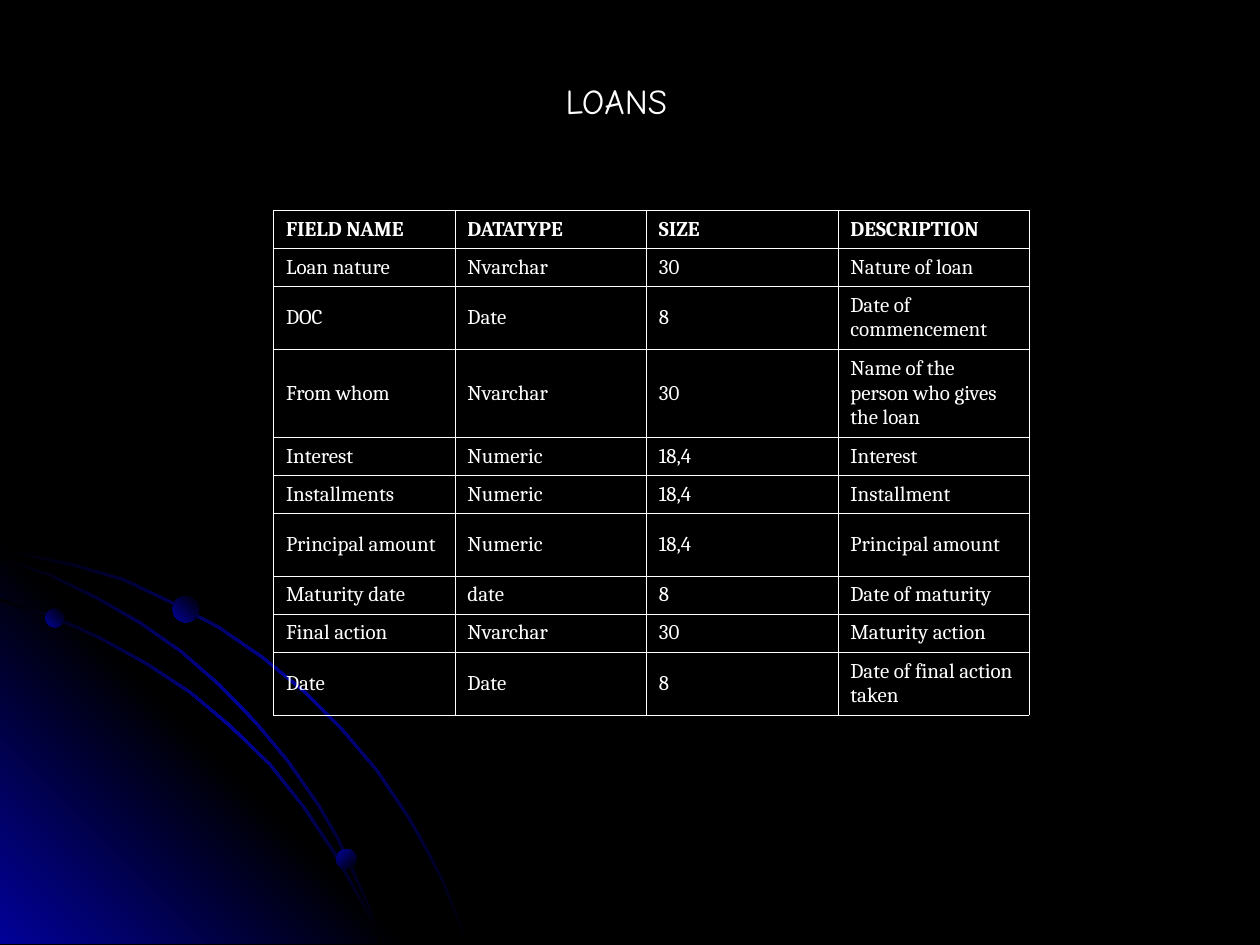
import dataclasses
import math

import lxml.etree
import pptx
import pptx.dml.color
import pptx.enum.shapes
import pptx.enum.text
import pptx.oxml
import pptx.oxml.ns
import pptx.util

MID = pptx.enum.text.MSO_ANCHOR.MIDDLE


@dataclasses.dataclass
class Theme:
    back: str = "000000"
    ink: str = "FFFFFF"
    glow: str = "010199"
    head: str = "Comic Neue"
    body: str = "Cambria"
    big: float = 20
    small: float = 12
    rule: float = 0.11
    cols: float = 10
    rows: float = 7.5


def apply(item, form):
    for name, value in form.items():
        setattr(item, name, value)


def rgb(code):
    return pptx.dml.color.RGBColor.from_string(code)


class Page:
    """Places elements on a grid of one-inch columns and rows."""

    def __init__(self, theme):
        self.theme = theme
        self.deck = pptx.Presentation()
        apply(self.deck, {"slide_width": self.span(theme.cols),
                          "slide_height": self.span(theme.rows)})
        self.slide = self.deck.slides.add_slide(self.deck.slide_layouts[6])
        self.shapes = self.slide.shapes
        fill = self.slide.background.fill
        fill.solid()
        fill.fore_color.rgb = rgb(theme.back)

    def span(self, cells):
        return pptx.util.Inches(cells)

    def box(self, *cells):
        return [self.span(cell) for cell in cells]

    def fade(self, shape, tones, angle):
        """Fill a shape with evenly spaced tones, angle clockwise."""
        shape.shadow.inherit = False
        shape.line.fill.background()
        shape.fill.gradient()
        grad = shape._element.spPr.find(pptx.oxml.ns.qn("a:gradFill"))
        for child in list(grad):
            grad.remove(child)
        stops = lxml.etree.SubElement(grad, pptx.oxml.ns.qn("a:gsLst"))
        for i, tone in enumerate(tones):
            stop = lxml.etree.SubElement(stops, pptx.oxml.ns.qn("a:gs"),
                                         pos=str(100000 * i // (len(tones) - 1)))
            lxml.etree.SubElement(stop, pptx.oxml.ns.qn("a:srgbClr"), val=tone)
        lxml.etree.SubElement(grad, pptx.oxml.ns.qn("a:lin"),
                              ang=str(angle * 60000), scaled="0")

    def shape(self, dots, tones, angle):
        first, *rest = [self.box(*dot) for dot in dots]
        pen = self.shapes.build_freeform(*first)
        pen.add_line_segments(rest, close=True)
        self.fade(pen.convert_to_shape(), tones, angle)

    def arc(self, edge, width=0.02):
        """Draw a thin band whose inner edge turns from below to the left."""
        turn = math.pi / 2 / (len(edge) - 1)
        inner = [(max(0, x - width * math.sin(i * turn)),
                  y + width * math.cos(i * turn))
                 for i, (x, y) in enumerate(edge)]
        theme = self.theme
        self.shape(edge + inner[::-1], (theme.back, theme.glow, theme.back), 225)

    def ball(self, left, top, size, angle):
        oval = self.shapes.add_shape(pptx.enum.shapes.MSO_SHAPE.OVAL,
                                     *self.box(left, top, size, size))
        self.fade(oval, (self.theme.back, self.theme.glow), angle)

    def label(self, frame, text, **form):
        run = frame.paragraphs[0].add_run()
        run.text = text
        apply(run.font, form)
        run.font.color.rgb = rgb(self.theme.ink)

    def title(self, text, *place):
        frame = self.shapes.add_textbox(*self.box(*place)).text_frame
        apply(frame, {"word_wrap": False, "vertical_anchor": MID,
                      "auto_size": pptx.enum.text.MSO_AUTO_SIZE.SHAPE_TO_FIT_TEXT})
        self.label(frame, text, name=self.theme.head,
                   size=pptx.util.Pt(self.theme.big))

    def frame(self, cell):
        """Outline a cell on all four sides."""
        props = cell._tc.get_or_add_tcPr()
        for i, side in enumerate("LRTB"):
            props.insert(i, pptx.oxml.parse_xml(
                f'<a:ln{side} {pptx.oxml.ns.nsdecls("a")} '
                f'w="{int(pptx.util.Pt(self.theme.rule))}"><a:solidFill>'
                f'<a:srgbClr val="{self.theme.ink}"/></a:solidFill></a:ln{side}>'))

    def table(self, left, top, widths, lines, data):
        tall = [0.1 + 0.2 * count for count in lines]
        grid = self.shapes.add_table(
            len(tall), len(widths),
            *self.box(left, top, sum(widths), sum(tall))).table
        apply(grid, {"first_row": False, "horz_banding": False})
        for col, width in zip(grid.columns, widths):
            col.width = self.span(width)
        for r, texts in enumerate(data):
            grid.rows[r].height = self.span(tall[r])
            for c, text in enumerate(texts):
                cell = grid.cell(r, c)
                cell.fill.background()
                cell.vertical_anchor = MID
                self.label(cell.text_frame, text, name=self.theme.body,
                           size=pptx.util.Pt(self.theme.small), bold=r == 0)
                self.frame(cell)


# Outer edges of the three orbits, from the left side to the foot
WIDE = [(0, 4.35), (0.28, 4.41), (0.57, 4.47), (0.98, 4.59), (1.36, 4.77),
        (1.74, 4.97), (2.09, 5.21), (2.42, 5.48), (2.72, 5.78), (3, 6.11),
        (3.25, 6.48), (3.39, 6.73), (3.52, 6.98), (3.62, 7.23), (3.72, 7.49)]
LOW = [(0, 4.75), (0.41, 4.88), (0.79, 5.05), (1.17, 5.26), (1.52, 5.49),
       (1.84, 5.76), (2.15, 6.06), (2.42, 6.4), (2.66, 6.76), (2.86, 7.12),
       (2.96, 7.3), (3.03, 7.49)]
HIGH = [(0, 4.42), (0.39, 4.55), (0.76, 4.73), (1.11, 4.93), (1.44, 5.16),
        (1.75, 5.43), (2.04, 5.73), (2.29, 6.03), (2.54, 6.39), (2.69, 6.65),
        (2.82, 6.93), (2.94, 7.2), (3.03, 7.49)]
BALLS = [(0.36, 4.83, 0.15, 135), (2.67, 6.74, 0.16, 225),
         (1.37, 4.73, 0.21, 135)]

FIELDS = [
    ("FIELD NAME", "DATATYPE", "SIZE", "DESCRIPTION"),
    ("Loan nature", "Nvarchar", "30", "Nature of loan"),
    ("DOC", "Date", "8", "Date of commencement"),
    ("From whom", "Nvarchar", "30", "Name of the person who gives the loan"),
    ("Interest", "Numeric", "18,4", "Interest"),
    ("Installments", "Numeric", "18,4", "Installment"),
    ("Principal amount", "Numeric", "18,4", "Principal amount"),
    ("Maturity date", "date", "8", "Date of maturity"),
    ("Final action", "Nvarchar", "30", "Maturity action"),
    ("Date", "Date", "8", "Date of final action taken"),
]
LINES = [1, 1, 2, 3, 1, 1, 2, 1, 1, 2]


def main():
    theme = Theme()
    page = Page(theme)

    # Corner glow, orbits and balls
    page.arc(WIDE)
    page.shape([(0, 4.27), (3.22, 7.49), (0, 7.49)],
               (theme.glow, theme.back, theme.glow), 135)
    page.arc(LOW)
    page.arc(HIGH)
    for ball in BALLS:
        page.ball(*ball)

    # Title and field table
    page.title("LOANS", 4.39, 0.58, 1.1, 0.44)
    page.table(2.17, 1.67, [1.44] + [1.52] * 3, LINES, FIELDS)

    page.deck.save("out.pptx")


if __name__ == "__main__":
    main()
